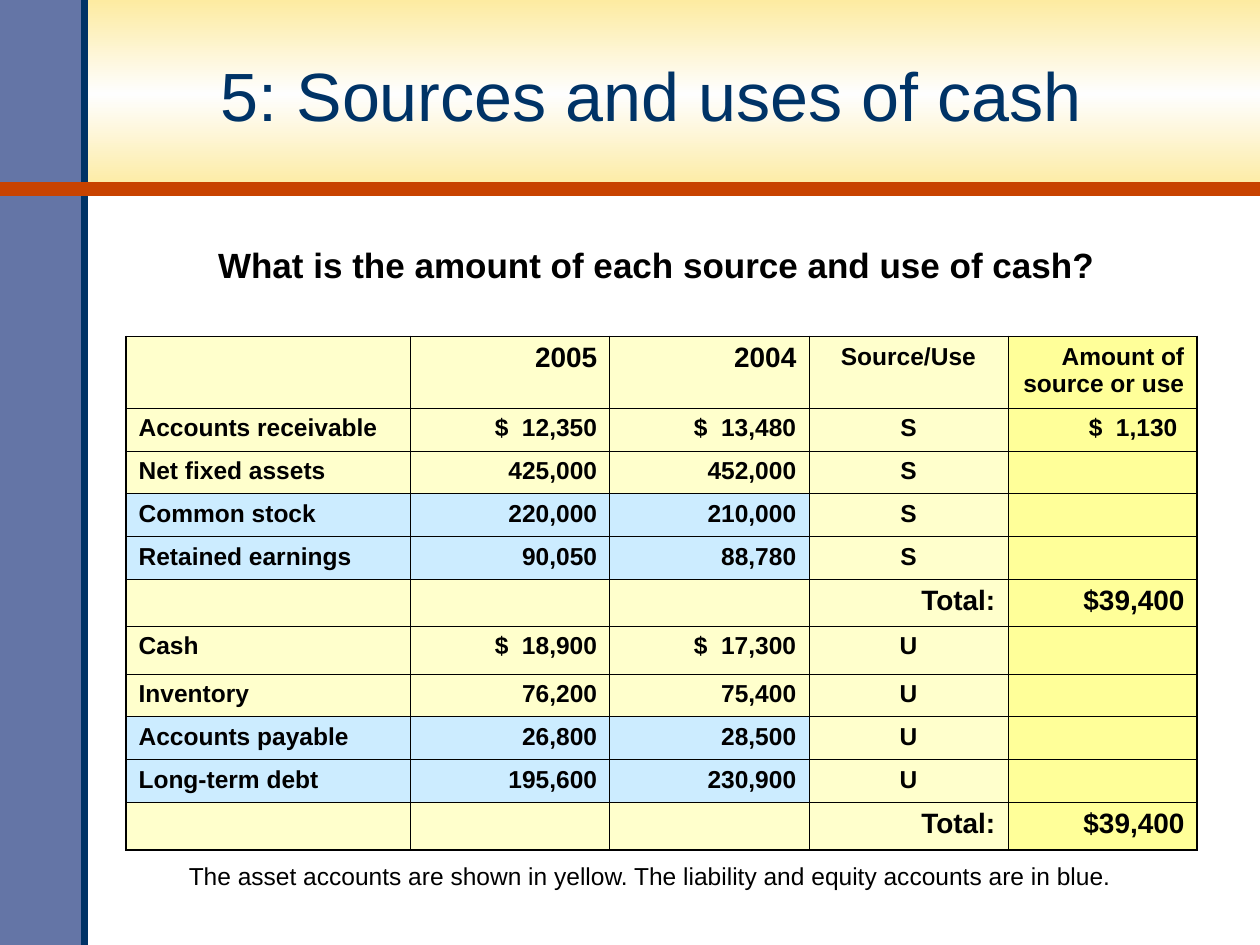
from copy import deepcopy

from lxml.etree import SubElement
from pptx import Presentation
from pptx.dml.color import RGBColor
from pptx.enum.shapes import MSO_CONNECTOR as Connector, MSO_SHAPE as Shape
from pptx.enum.text import MSO_ANCHOR as Anchor, MSO_AUTO_SIZE as AutoSize, PP_ALIGN as Align
from pptx.oxml.ns import qn
from pptx.util import Inches, Pt

COLORS = {
    "navy": "003366", "slate": "6475A6", "rust": "C84300", "gold": "FDEBA1", "white": "FEFEFE",
    "black": "000000", "asset": "FFFFCC", "liability": "CCECFF", "amount": "FFFF99",
}


def write(frame, text, size, color="black", bold=False, align=Align.CENTER, spacing=None):
    frame.text = text
    frame.word_wrap = True
    para = frame.paragraphs[0]
    para.alignment = align
    para.space_before = Pt(0)
    para.line_spacing = spacing
    for span in para.runs:
        span.font.name = "Arial"
        span.font.size = Pt(size)
        span.font.bold = bold
        span.font.color.rgb = RGBColor.from_string(COLORS[color])
    return para


def draw_border(cell, side, width):
    line = SubElement(cell._tc.get_or_add_tcPr(), qn(f"a:ln{side}"), w=str(Pt(width)))
    fill = SubElement(line, qn("a:solidFill"))
    SubElement(fill, qn("a:srgbClr"), val=COLORS["black"])


deck = Presentation()
deck.slide_width = Inches(10)
deck.slide_height = Inches(7.5)
page = deck.slides.add_slide(deck.slide_layouts[1])
title, question = page.placeholders

banner = page.shapes.add_shape(Shape.RECTANGLE, 0, 0, Inches(10), Inches(1.5))
banner.fill.gradient()
banner.fill.gradient_angle = 90
first_stop = banner.fill.gradient_stops[0]._gs
first_stop.addnext(deepcopy(first_stop))
for stop, position, color in zip(banner.fill.gradient_stops, (0, 0.5, 1), ("gold", "white", "gold")):
    stop.position = position
    stop.color.rgb = RGBColor.from_string(COLORS[color])

sidebar = page.shapes.add_shape(Shape.RECTANGLE, 0, 0, Inches(0.67), Inches(7.5))
sidebar.fill.solid()
sidebar.fill.fore_color.rgb = RGBColor.from_string(COLORS["slate"])
for panel in (banner, sidebar):
    panel.line.fill.background()
    panel.shadow.inherit = False

for x1, y1, x2, y2, color, width in (
    (0.67, 7.5, 0.67, 0, "navy", 4),
    (0, 1.5, 10, 1.5, "rust", 8),
):
    rule = page.shapes.add_connector(Connector.STRAIGHT, Inches(x1), Inches(y1), Inches(x2), Inches(y2))
    rule.line.color.rgb = RGBColor.from_string(COLORS[color])
    rule.line.width = Pt(width)
    SubElement(rule._element.spPr, qn("a:effectLst"))

for holder, left, top, width, height in (
    (title, 0.65, 0.15, 9.04, 1.2),
    (question, 0.92, 1.5, 8.58, 0.92),
):
    holder.left, holder.top = Inches(left), Inches(top)
    holder.width, holder.height = Inches(width), Inches(height)
    holder.text_frame.auto_size = AutoSize.NONE
    page.shapes._spTree.append(holder._element)

write(title.text_frame, "5: Sources and uses of cash", 39, "navy")
title.text_frame.vertical_anchor = Anchor.MIDDLE
question.text_frame.margin_top = Inches(0.5)
question.text_frame.vertical_anchor = Anchor.TOP
prompt = write(question.text_frame, "What is the amount of each source and use of cash?", 20, bold=True, spacing=0.8)
prompt_format = prompt._p.get_or_add_pPr()
prompt_format.set("marL", "0")
prompt_format.set("indent", "0")
SubElement(prompt_format, qn("a:buNone"))

ROWS = [
    ("", "2005", "2004", "Source/Use", "Amount of source or use"),
    ("Accounts receivable", "$  12,350", "$  13,480", "S", "$  1,130 "),
    ("Net fixed assets", "425,000", "452,000", "S", ""),
    ("Common stock", "220,000", "210,000", "S", ""),
    ("Retained earnings", "90,050", "88,780", "S", ""),
    ("", "", "", "Total:", "$39,400"),
    ("Cash", "$  18,900", "$  17,300", "U", ""),
    ("Inventory", "76,200", "75,400", "U", ""),
    ("Accounts payable", "26,800", "28,500", "U", ""),
    ("Long-term debt", "195,600", "230,900", "U", ""),
    ("", "", "", "Total:", "$39,400"),
]
LIABILITIES = {"Common stock", "Retained earnings", "Accounts payable", "Long-term debt"}
COLUMN_WIDTHS = (2.26, 1.58, 1.58, 1.58, 1.5)
COLUMN_ALIGNS = (Align.LEFT, Align.RIGHT, Align.RIGHT, Align.CENTER, Align.RIGHT)
SPECIAL_HEIGHTS = {0: 0.57, 5: 0.37, 6: 0.38, 10: 0.38}
LAST_ROW, LAST_COLUMN = len(ROWS) - 1, len(COLUMN_WIDTHS) - 1

table = page.shapes.add_table(
    len(ROWS), len(COLUMN_WIDTHS), Inches(1), Inches(2.67), Inches(8.5), Inches(4.06)
).table
table.first_row = False
table.horz_banding = False
for column, width in zip(table.columns, COLUMN_WIDTHS):
    column.width = Inches(width)

for r, values in enumerate(ROWS):
    table.rows[r].height = Inches(SPECIAL_HEIGHTS.get(r, 0.34))
    for c, value in enumerate(values):
        cell = table.cell(r, c)
        for side, outer in (("L", c == 0), ("R", c == LAST_COLUMN), ("T", r == 0), ("B", r == LAST_ROW)):
            draw_border(cell, side, 1.08 if outer else 0.45)
        if c == LAST_COLUMN:
            color = "amount"
        elif values[0] in LIABILITIES and c < 3:
            color = "liability"
        else:
            color = "asset"
        cell.fill.solid()
        cell.fill.fore_color.rgb = RGBColor.from_string(COLORS[color])
        is_total = "Total:" in values
        size = 16 if is_total or value in ("2005", "2004") else 14
        align = Align.RIGHT if is_total else COLUMN_ALIGNS[c]
        para = write(cell.text_frame, value, size, bold=True, align=align)
        if not value:
            SubElement(para._p, qn("a:endParaRPr"), sz="1400")

note = page.shapes.add_textbox(Inches(1), Inches(6.83), Inches(8.32), Inches(0.52))
write(
    note.text_frame,
    "The asset accounts are shown in yellow. The liability and equity accounts are in blue.",
    14,
    spacing=0.8,
)

deck.save("out.pptx")
